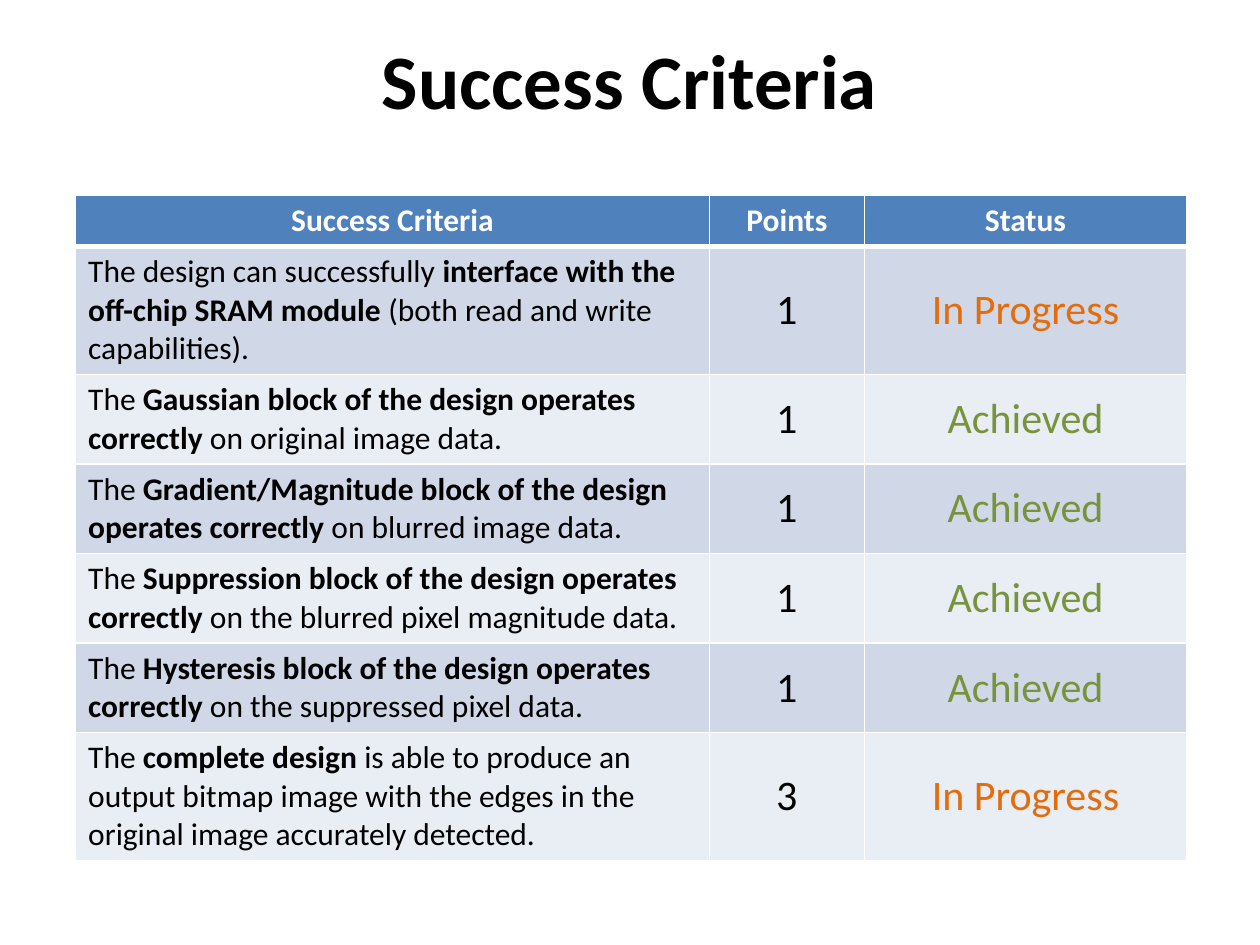
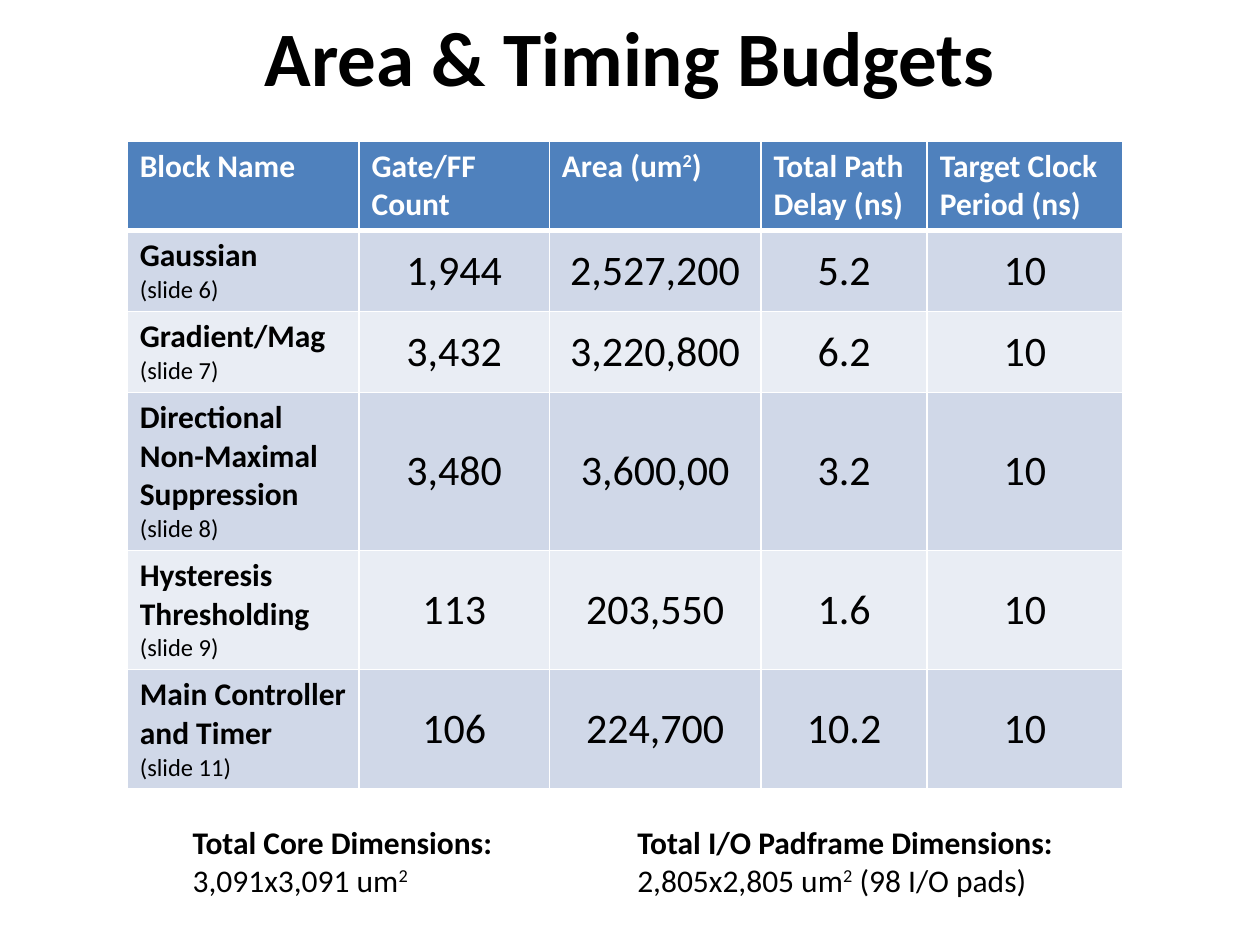
"""Build the success criteria and budget slides."""
from dataclasses import dataclass

from lxml import etree
from pptx import Presentation
from pptx.dml.color import RGBColor
from pptx.enum.text import MSO_ANCHOR, PP_ALIGN
from pptx.oxml.ns import qn
from pptx.slide import Slide
from pptx.table import _Cell
from pptx.text.text import TextFrame
from pptx.util import Pt

LEFT, CENTER = PP_ALIGN.LEFT, PP_ALIGN.CENTER
TOP, MIDDLE = MSO_ANCHOR.TOP, MSO_ANCHOR.MIDDLE
FONT = "Calibri"
COLORS = {
    "text": "000000",
    "white": "FFFFFF",
    "header": "4F81BD",
    "odd": "D0D8E8",
    "even": "E9EDF4",
    "In Progress": "E46C0A",
    "Achieved": "77933C",
}


@dataclass(frozen=True)
class Run:
    text: str
    size: float = 18
    color: str = "text"
    bold: bool = False
    raised: bool = False


@dataclass(frozen=True)
class Block:
    paras: tuple[tuple[Run, ...], ...]
    align: PP_ALIGN = LEFT
    anchor: MSO_ANCHOR = TOP


@dataclass(frozen=True)
class Box:
    left: float
    top: float
    width: float
    height: float
    block: Block


@dataclass(frozen=True)
class Grid:
    left: float
    top: float
    cols: tuple[float, ...]
    heights: tuple[float, ...]
    rows: list[list[Block]]


def rgb(name: str) -> RGBColor:
    """Look up a named colour."""
    return RGBColor.from_string(COLORS[name])


def write(tf: TextFrame, block: Block) -> None:
    """Fill a text frame with formatted paragraphs."""
    for i, runs in enumerate(block.paras):
        p = tf.add_paragraph() if i else tf.paragraphs[0]
        p.alignment = block.align
        for run in runs:
            r = p.add_run()
            r.text = run.text
            values = {"name": FONT, "size": Pt(run.size), "bold": run.bold}
            for key, value in values.items():
                setattr(r.font, key, value)
            r.font.color.rgb = rgb(run.color)
            if run.raised:
                r._r.get_or_add_rPr().set("baseline", "30000")


def add_box(slide: Slide, box: Box) -> None:
    """Draw a wrapped text box."""
    sp = slide.shapes.add_textbox(
        Pt(box.left), Pt(box.top), Pt(box.width), Pt(box.height))
    tf = sp.text_frame
    for key, value in {"word_wrap": True, "vertical_anchor": box.block.anchor}.items():
        setattr(tf, key, value)
    write(tf, box.block)


def add_title(slide: Slide, text: str, top: float) -> None:
    """Draw the slide title."""
    runs = (Run(text, 44, bold=True),)
    add_box(slide, Box(0, top, 720, 90, Block((runs,), CENTER, MIDDLE)))


def set_borders(cell: _Cell, row: int) -> None:
    """Draw white cell borders with a thick rule under the header."""
    widths = {"L": 1, "R": 1, "T": 3 if row == 1 else 1, "B": 3 if row == 0 else 1}
    pr = cell._tc.get_or_add_tcPr()
    for side, width in widths.items():
        ln = etree.SubElement(pr, qn(f"a:ln{side}"), w=str(Pt(width)))
        fill = etree.SubElement(ln, qn("a:solidFill"))
        etree.SubElement(fill, qn("a:srgbClr"), val=COLORS["white"])


def add_grid(slide: Slide, grid: Grid) -> None:
    """Draw a banded table."""
    table = slide.shapes.add_table(
        len(grid.rows), len(grid.cols), Pt(grid.left), Pt(grid.top),
        Pt(sum(grid.cols)), Pt(sum(grid.heights))).table
    for col, width in zip(table.columns, grid.cols):
        col.width = Pt(width)
    for i, (height, blocks) in enumerate(zip(grid.heights, grid.rows)):
        table.rows[i].height = Pt(height)
        band = "header" if i == 0 else "odd" if i % 2 else "even"
        for j, block in enumerate(blocks):
            cell = table.cell(i, j)
            set_borders(cell, i)
            cell.fill.solid()
            cell.fill.fore_color.rgb = rgb(band)
            cell.vertical_anchor = block.anchor
            write(cell.text_frame, block)


def head(text: str, align: PP_ALIGN = LEFT) -> Block:
    """Make a header cell."""
    return Block(((Run(text, color="white", bold=True),),), align)


def value(text: str) -> Block:
    """Make a large centred cell, coloured when it is a status."""
    color = text if text in COLORS else "text"
    return Block(((Run(text, 24, color),),), CENTER, MIDDLE)


def criterion(start: str, key: str, end: str) -> Block:
    """Make a criterion with its key phrase in bold."""
    return Block(((Run(start), Run(key, bold=True), Run(end)),))


def block_name(name: str, page: int) -> Block:
    """Make a block name with its slide reference."""
    return Block(((Run(name, bold=True),), (Run(f"(slide {page})", 14),)))


def dimensions(label: str, size: str, note: str = "") -> Block:
    """Make a label above a size in square micrometres."""
    runs = (Run(f"{size} um"), Run("2", raised=True))
    return Block(((Run(label, bold=True),), runs + ((Run(note),) if note else ())))


CRITERIA = [
    ("The design can successfully ", "interface with the off-chip SRAM module ",
     "(both read and write capabilities).", "1", "In Progress"),
    ("The ", "Gaussian block of the design operates correctly ",
     "on original image data.", "1", "Achieved"),
    ("The ", "Gradient/Magnitude block of the design operates correctly ",
     "on blurred image data.", "1", "Achieved"),
    ("The ", "Suppression block of the design operates correctly ",
     "on the blurred pixel magnitude data.", "1", "Achieved"),
    ("The ", "Hysteresis block of the design operates correctly ",
     "on the suppressed pixel data.", "1", "Achieved"),
    ("The ", "complete design ",
     "is able to produce an output bitmap image with the edges in the "
     "original image accurately detected.", "3", "In Progress"),
]
BUDGETS = [
    ("Gaussian", 6, "1,944", "2,527,200", "5.2"),
    ("Gradient/Mag", 7, "3,432", "3,220,800", "6.2"),
    ("Directional Non-Maximal Suppression", 8, "3,480", "3,600,00", "3.2"),
    ("Hysteresis Thresholding", 9, "113", "203,550", "1.6"),
    ("Main Controller and Timer", 11, "106", "224,700", "10.2"),
]
CLOCK_PERIOD = "10"
AREA_HEAD = Block(((
    Run("Area (um", color="white", bold=True),
    Run("2", color="white", bold=True, raised=True),
    Run(")", color="white", bold=True)),))


def build_criteria(slide: Slide) -> None:
    """Draw the success criteria slide."""
    rows = [[head(t, CENTER) for t in ("Success Criteria", "Points", "Status")]]
    rows += [[criterion(*parts), value(points), value(status)]
             for *parts, points, status in CRITERIA]
    add_grid(slide, Grid(43.2, 111.6, (362.2, 88.5, 184.3),
                         (29.2, 73.1, 51.1, 51.1, 51.1, 51.1, 73.1), rows))
    add_title(slide, "Success Criteria", 0)


def build_budgets(slide: Slide) -> None:
    """Draw the area and timing slide."""
    rows = [[head("Block Name"), head("Gate/FF Count"), AREA_HEAD,
             head("Total Path Delay (ns)"), head("Target Clock Period (ns)")]]
    rows += [[block_name(name, page), *map(value, (*figures, CLOCK_PERIOD))]
             for name, page, *figures in BUDGETS]
    add_grid(slide, Grid(72.7, 80.6, (132.5, 108.7, 121, 95, 111.6),
                         (51.1, 46.3, 46.3, 90.2, 68.2, 68.2), rows))
    add_title(slide, "Area & Timing Budgets", -13)
    add_box(slide, Box(103, 466.6, 195.8, 51,
                       dimensions("Total Core Dimensions:", "3,091x3,091")))
    add_box(slide, Box(357.1, 466.6, 296, 51,
                       dimensions("Total I/O Padframe Dimensions:", "2,805x2,805",
                                  " (98 I/O pads)")))


def main() -> None:
    """Build and save the presentation."""
    prs = Presentation()
    prs.slide_width, prs.slide_height = Pt(720), Pt(540)
    for build in (build_criteria, build_budgets):
        build(prs.slides.add_slide(prs.slide_layouts[6]))
    prs.save("out.pptx")


if __name__ == "__main__":
    main()
